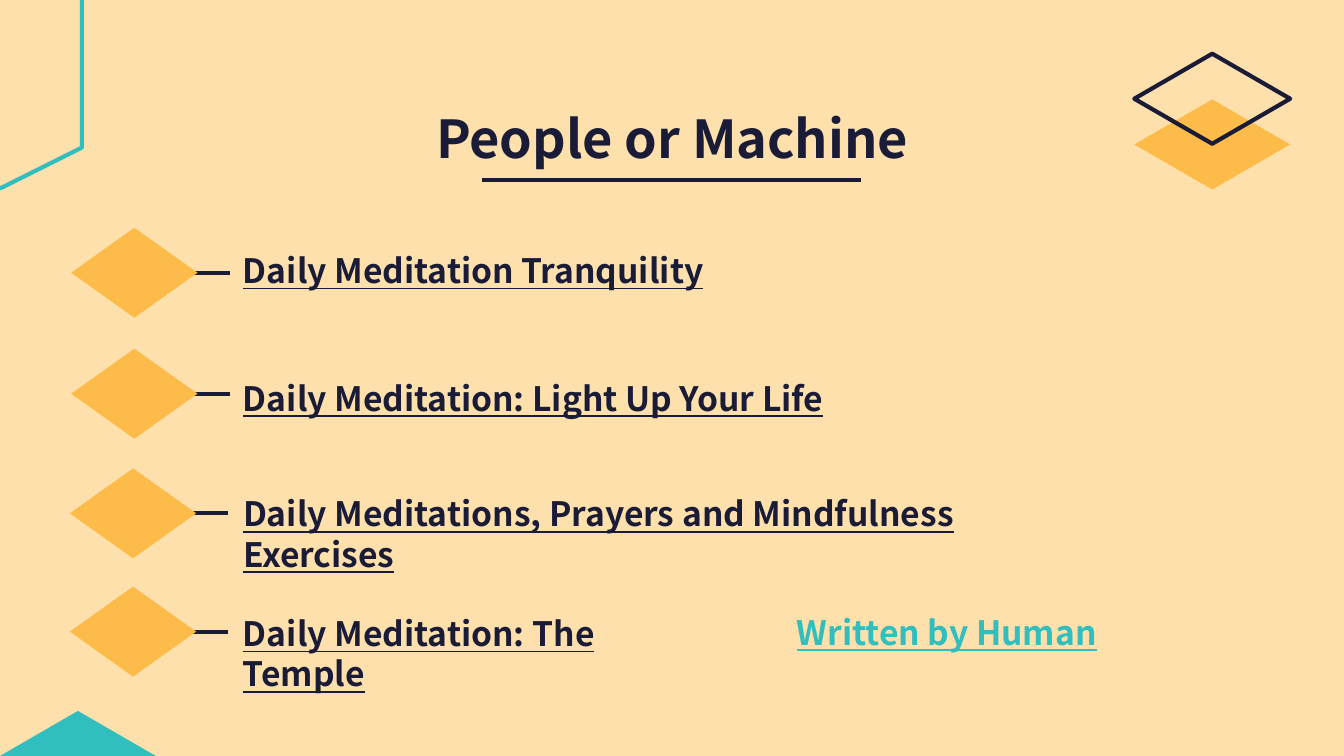
import pptx
import pptx.util
import pptx.dml.color
import pptx.enum.shapes
import pptx.enum.text
import pptx.oxml
from dataclasses import dataclass

SHAPE = pptx.enum.shapes.MSO_SHAPE
ALIGN = pptx.enum.text.PP_ALIGN
ANCHOR = pptx.enum.text.MSO_ANCHOR
Inches = pptx.util.Inches


@dataclass(frozen=True)
class Theme:
    """Colours, font and sizes of the slide."""
    sand: str = "FDE0AC"
    amber: str = "FDBC4A"
    navy: str = "1A1B36"
    teal: str = "31BEBE"
    font: str = "Noto Sans CJK TC"
    title_size: int = 28
    item_size: int = 18
    stroke: float = 2.25


THEME = Theme()
DIAMOND_HEIGHT = 0.67


def rgb(value):
    """Return the colour object for a hex string."""
    return pptx.dml.color.RGBColor.from_string(value)


def add_empty_effects(shape):
    """Switch off the theme's effects on a connector."""
    shape._element.spPr.append(pptx.oxml.parse_xml(
        '<a:effectLst xmlns:a="http://schemas.openxmlformats.org/drawingml/2006/main"/>'))


def add_figure(slide, preset, box, fill=None, line=None):
    """Add a preset shape with a flat fill or a plain outline."""
    figure = slide.shapes.add_shape(preset, *map(Inches, box))
    figure.shadow.inherit = False
    if fill:
        figure.fill.solid()
        figure.fill.fore_color.rgb = rgb(fill)
    else:
        figure.fill.background()
    if line:
        figure.line.color.rgb = rgb(line)
        figure.line.width = pptx.util.Pt(THEME.stroke)
    else:
        figure.line.fill.background()
    return figure


def add_rule(slide, left, right, y):
    """Add a horizontal navy line."""
    rule = slide.shapes.add_connector(
        pptx.enum.shapes.MSO_CONNECTOR.STRAIGHT, *map(Inches, (left, y, right, y)))
    rule.line.color.rgb = rgb(THEME.navy)
    rule.line.width = pptx.util.Pt(THEME.stroke)
    add_empty_effects(rule)


def write(shape, wording, size, color, align, anchor, underline=None):
    """Put one formatted paragraph of wording into a shape."""
    frame = shape.text_frame
    frame.text = wording
    frame_format = {"word_wrap": True, "vertical_anchor": anchor,
                    "auto_size": pptx.enum.text.MSO_AUTO_SIZE.NONE}
    frame_format.update({f"margin_{side}": Inches(0.1)
                         for side in ("left", "top", "right", "bottom")})
    for name, value in frame_format.items():
        setattr(frame, name, value)
    paragraph = frame.paragraphs[0]
    paragraph.alignment = align
    paragraph.line_spacing = 1.0
    font = paragraph.runs[0].font
    for name, value in {"name": THEME.font, "size": pptx.util.Pt(size),
                        "bold": True, "underline": underline}.items():
        setattr(font, name, value)
    font.color.rgb = rgb(color)


def add_decorations(slide, width, height):
    """Place the corner ornaments within the slide's extent."""
    diamond_width = 1.16
    stack_left = width - 1.56
    add_figure(slide, SHAPE.DIAMOND,
               (stack_left, 0.74, diamond_width, DIAMOND_HEIGHT), fill=THEME.amber)
    add_figure(slide, SHAPE.DIAMOND,
               (stack_left, 0.4, diamond_width, DIAMOND_HEIGHT), line=THEME.navy)
    hexagon = add_figure(slide, SHAPE.HEXAGON, (-1.08, -0.29, 2.17, 1.21), line=THEME.teal)
    hexagon.rotation = 270
    add_figure(slide, SHAPE.DIAMOND,
               (0, height - DIAMOND_HEIGHT / 2, diamond_width, DIAMOND_HEIGHT), fill=THEME.teal)


def add_heading(slide, left, top, width, height):
    """Place the title with its centred underline."""
    title = slide.shapes.title
    for name, value in zip(("left", "top", "width", "height"), (left, top, width, height)):
        setattr(title, name, Inches(value))
    write(title, "People or Machine", THEME.title_size, THEME.navy, ALIGN.CENTER, ANCHOR.BOTTOM)
    center = left + width / 2
    add_rule(slide, center - 1.41, center + 1.41, top + height - 0.02)


def add_label(slide, wording, box, color):
    """Add an underlined list label."""
    label = slide.shapes.add_textbox(*map(Inches, box))
    write(label, wording, THEME.item_size, color, ALIGN.LEFT, ANCHOR.TOP, True)
    label.text_frame.paragraphs[0].space_after = pptx.util.Pt(16)


def add_item(slide, wording, left, middle, label_top, label_width):
    """Place a diamond, its lead line and its label."""
    add_rule(slide, left + 0.14, left + 1.18, middle)
    add_figure(slide, SHAPE.DIAMOND,
               (left, middle - DIAMOND_HEIGHT / 2, 0.94, DIAMOND_HEIGHT), fill=THEME.amber)
    add_label(slide, wording, (1.71, label_top, label_width, 0.47), THEME.navy)


def main():
    """Build and save the slide."""
    deck = pptx.Presentation()
    width = 10
    height = width * 9 / 16
    deck.slide_width, deck.slide_height = Inches(width), Inches(height)
    slide = deck.slides.add_slide(deck.slide_layouts[5])
    slide.background.fill.solid()
    slide.background.fill.fore_color.rgb = rgb(THEME.sand)
    add_decorations(slide, width, height)
    add_heading(slide, 0.72, 0.73, 8.56, 0.63)
    items = (
        ("Daily Meditation Tranquility", 0.53, 2.03, 1.76, 3.76),
        ("Daily Meditation: Light Up Your Life", 0.53, 2.93, 2.71, 4.77),
        ("Daily Meditations, Prayers and Mindfulness Exercises", 0.52, 3.82, 3.57, 6.61),
        ("Daily Meditation: The Temple", 0.52, 4.7, 4.46, 3.74),
    )
    for item in items:
        add_item(slide, *item)
    add_label(slide, "Written by Human", (5.83, 4.45, 3.78, 0.47), THEME.teal)
    deck.save("out.pptx")


if __name__ == "__main__":
    main()
